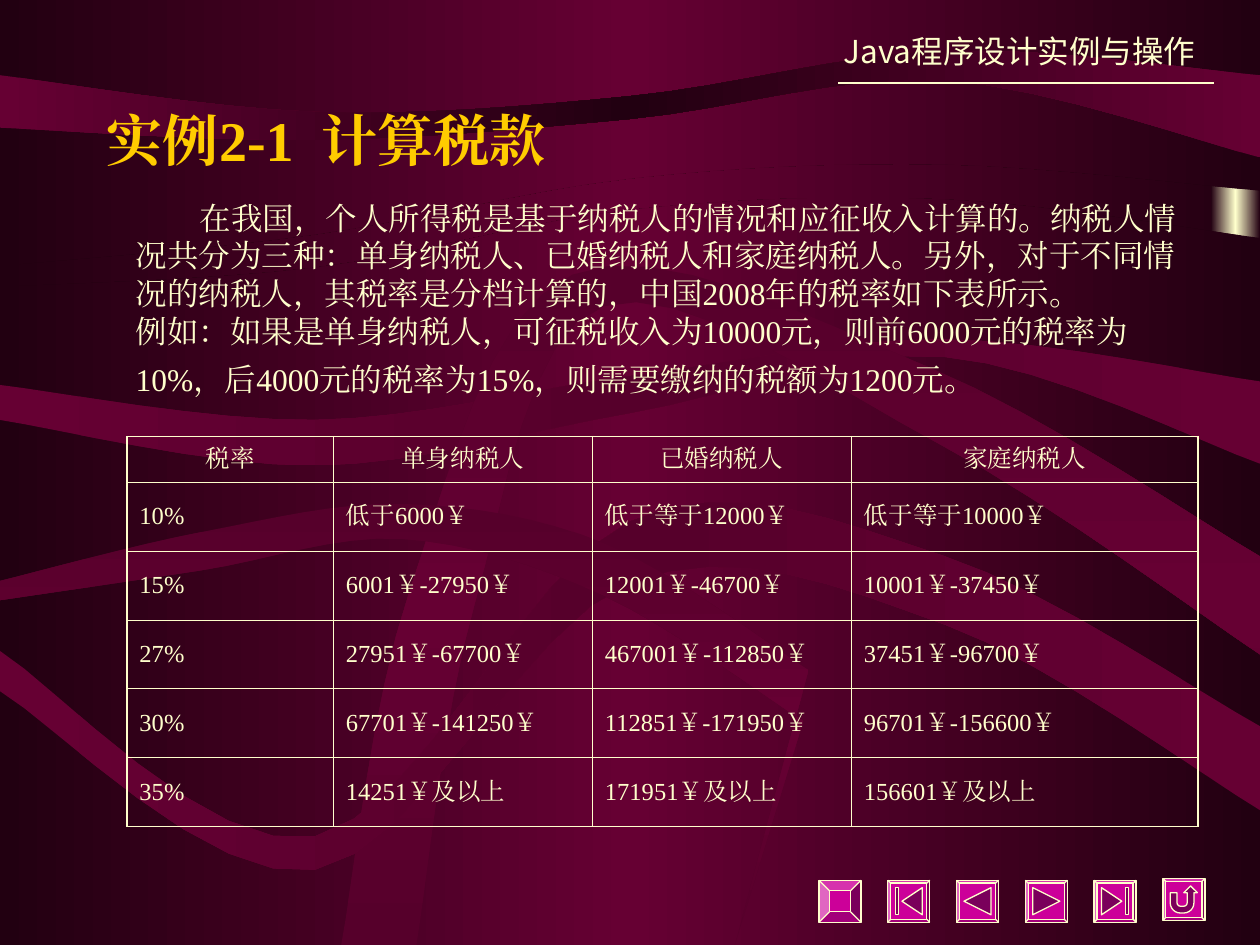
from copy import deepcopy

from lxml.etree import SubElement
from pptx import Presentation
from pptx.dml.color import RGBColor
from pptx.enum.shapes import MSO_CONNECTOR, MSO_SHAPE
from pptx.enum.text import MSO_ANCHOR, PP_ALIGN
from pptx.oxml.ns import qn
from pptx.util import Pt

COLORS = {
    "night": "220011",
    "wine": "660033",
    "plum": "56002B",
    "cream": "FFFFCC",
    "gold": "FFCC00",
    "magenta": "CC0099",
}
SERIF = "Times New Roman"
SANS = "Noto Sans CJK SC"
WIDTH, HEIGHT = 720, 540
CURVE_STEPS = 8
BUTTON_SIZE = 24
BUTTON_PITCH = 39.3
FRAME = 0.07
BUTTONS = [
    None,
    MSO_SHAPE.ACTION_BUTTON_BEGINNING,
    MSO_SHAPE.ACTION_BUTTON_BACK_OR_PREVIOUS,
    MSO_SHAPE.ACTION_BUTTON_FORWARD_OR_NEXT,
    MSO_SHAPE.ACTION_BUTTON_END,
    MSO_SHAPE.ACTION_BUTTON_RETURN,
]

INTRODUCTION = [
    "在我国，个人所得税是基于纳税人的情况和应征收入计算的。纳税人情况共分为三种：单身纳税人、"
    "已婚纳税人和家庭纳税人。另外，对于不同情况的纳税人，其税率是分档计算的，中国2008年的税率如下表所示。",
    "例如：如果是单身纳税人，可征税收入为10000元，则前6000元的税率为",
    "10%，后4000元的税率为15%，则需要缴纳的税额为1200元。",
]
TAX_COLUMNS = [118, 148, 148, 198]
TAX_ROWS = [
    ["税率", "单身纳税人", "已婚纳税人", "家庭纳税人"],
    ["10%", "低于6000￥", "低于等于12000￥", "低于等于10000￥"],
    ["15%", "6001￥-27950￥", "12001￥-46700￥", "10001￥-37450￥"],
    ["27%", "27951￥-67700￥", "467001￥-112850￥", "37451￥-96700￥"],
    ["30%", "67701￥-141250￥", "112851￥-171950￥", "96701￥-156600￥"],
    ["35%", "14251￥及以上", "171951￥及以上", "156601￥及以上"],
]


def color(name):
    return RGBColor.from_string(COLORS[name])


def fill_gradient(fill, element, edge, middle, angle=0):
    fill.gradient()
    fill.gradient_angle = angle
    stop_list = next(element.iter(qn("a:gsLst")))
    stop_list.append(deepcopy(stop_list[0]))
    for index, (stop, name) in enumerate(zip(fill.gradient_stops, (edge, middle, edge))):
        stop.color.rgb = color(name)
        stop.position = index / 2


def spread(heights, width=WIDTH):
    step = width / (len(heights) - 1)
    return [(index * step, height) for index, height in enumerate(heights)]


def smooth(points):
    padded = [points[0], *points, points[-1]]
    curve = []
    for a, b, c, d in zip(padded, padded[1:], padded[2:], padded[3:]):
        for step in range(CURVE_STEPS):
            t = step / CURVE_STEPS
            curve.append(tuple(
                q + t / 2 * (r - p + t * (2 * p - 5 * q + 4 * r - s + t * (3 * (q - r) + s - p)))
                for p, q, r, s in zip(a, b, c, d)))
    return curve + [points[-1]]


def add_wave(slide, edge, middle, upper, lower, angle=0, tail=()):
    outline = smooth(upper) + list(tail) + smooth(lower)[::-1]
    points = [(Pt(x), Pt(y)) for x, y in outline]
    builder = slide.shapes.build_freeform(*points[0])
    builder.add_line_segments(points[1:], close=True)
    wave = builder.convert_to_shape()
    wave.shadow.inherit = False
    wave.line.fill.background()
    fill_gradient(wave.fill, wave.element, edge, middle, angle)


def add_backdrop(slide):
    fill_gradient(slide.background.fill, slide.element, "night", "wine")
    glow = slide.shapes.add_shape(MSO_SHAPE.RECTANGLE, Pt(692), Pt(35), Pt(28), Pt(248))
    glow.shadow.inherit = False
    glow.line.fill.background()
    fill_gradient(glow.fill, glow.element, "night", "cream")
    add_wave(slide, "night", "wine", spread([0, 0]), spread([152, 134, 102, 94, 109]))
    add_wave(slide, "night", "wine", spread([164, 153, 120, 114, 136]), spread([HEIGHT, HEIGHT]))
    add_wave(slide, "wine", "night", spread([43, 64, 55, 29, 43]), spread([73, 80, 68, 46, 90]))
    add_wave(slide, "wine", "plum", spread([220, 240, 215, 194, 218]),
             spread([240, 266, 236, 204, 265]))
    add_wave(slide, "plum", "wine",
             [(195, HEIGHT), (234, 338), (327, 157), (531, 210), (WIDTH, 318)],
             [(238, HEIGHT), (271, 346), (345, 175), (539, 255), (WIDTH, 374)], angle=90)
    add_wave(slide, "wine", "plum", spread([372, 478, 298, 318, 415]),
             spread([395, 497, 333, 357, 463]))
    add_wave(slide, "plum", "wine", spread([332, 304, 288, 311, 383], 462),
             spread([343, 326, 308, 340, 412], 459), angle=90, tail=[(420, HEIGHT)])


def add_button_part(slide, kind, left, top, size):
    shape = slide.shapes.add_shape(kind, Pt(left), Pt(top), Pt(size), Pt(size))
    shape.shadow.inherit = False
    shape.fill.solid()
    shape.fill.fore_color.rgb = color("magenta")
    shape.line.color.rgb = color("cream")
    shape.line.width = Pt(0.75)
    return shape


def add_navigation(slide):
    inset = FRAME * BUTTON_SIZE
    for index, kind in enumerate(BUTTONS):
        left = 468 + index * BUTTON_PITCH
        top = 502 if kind == MSO_SHAPE.ACTION_BUTTON_RETURN else 503
        bevel = add_button_part(slide, MSO_SHAPE.BEVEL, left, top, BUTTON_SIZE)
        bevel.adjustments[0] = FRAME if kind else 0.25
        if kind:
            add_button_part(slide, kind, left + inset, top + inset, BUTTON_SIZE - 2 * inset)


def add_run(paragraph, text, size, name="cream", face=SERIF, bold=False):
    run = paragraph.add_run()
    run.text = text
    run.font.size = Pt(size)
    run.font.bold = bold
    run.font.color.rgb = color(name)
    run.font.name = face
    SubElement(run.font._element, qn("a:ea")).set("typeface", face)


def add_text_box(slide, left, top, width, height):
    frame = slide.shapes.add_textbox(Pt(left), Pt(top), Pt(width), Pt(height)).text_frame
    frame.word_wrap = True
    return frame


def add_header(slide):
    rule = slide.shapes.add_connector(MSO_CONNECTOR.STRAIGHT, Pt(479), Pt(47.5), Pt(693.5), Pt(47.5))
    rule.line.color.rgb = color("cream")
    rule.line.width = Pt(0.75)
    SubElement(rule.element.spPr, qn("a:effectLst"))
    paragraph = add_text_box(slide, 468, 15, 222, 29).paragraphs[0]
    paragraph.alignment = PP_ALIGN.RIGHT
    add_run(paragraph, "Java程序设计实例与操作", 18, face=SANS)


def add_title(slide):
    frame = add_text_box(slide, 54, 54, 612, 51)
    frame.vertical_anchor = MSO_ANCHOR.MIDDLE
    add_run(frame.paragraphs[0], "实例2-1  计算税款", 32, "gold", bold=True)


def add_introduction(slide):
    paragraph = add_text_box(slide, 70.5, 110, 612, 122).paragraphs[0]
    paragraph._p.get_or_add_pPr().set("indent", str(Pt(36.5)))
    for index, line in enumerate(INTRODUCTION):
        if index:
            paragraph.add_line_break()
        add_run(paragraph, line, 18)
    add_run(paragraph, " ", 24)


def set_borders(cell, outer_sides):
    properties = cell._tc.get_or_add_tcPr()
    for side in ("lnL", "lnR", "lnT", "lnB"):
        line = SubElement(properties, qn(f"a:{side}"))
        line.set("w", str(Pt(1.08 if side in outer_sides else 0.45)))
        SubElement(SubElement(line, qn("a:solidFill")), qn("a:srgbClr")).set("val", COLORS["cream"])
    cell.fill.background()


def add_tax_table(slide):
    row_count, column_count = len(TAX_ROWS), len(TAX_COLUMNS)
    table = slide.shapes.add_table(row_count, column_count, Pt(72.5), Pt(249.5),
                                   Pt(sum(TAX_COLUMNS)), Pt(223)).table
    table.first_row = False
    table.horz_banding = False
    for column, width in zip(table.columns, TAX_COLUMNS):
        column.width = Pt(width)
    for row_index, texts in enumerate(TAX_ROWS):
        table.rows[row_index].height = Pt(39.4 if row_index else 26)
        for column_index, text in enumerate(texts):
            cell = table.cell(row_index, column_index)
            cell.vertical_anchor = MSO_ANCHOR.MIDDLE
            paragraph = cell.text_frame.paragraphs[0]
            paragraph.alignment = PP_ALIGN.LEFT if row_index else PP_ALIGN.CENTER
            add_run(paragraph, text, 14)
            edges = {"lnL": column_index == 0, "lnR": column_index == column_count - 1,
                     "lnT": row_index == 0, "lnB": row_index == row_count - 1}
            set_borders(cell, [side for side, outer in edges.items() if outer])


def main():
    presentation = Presentation()
    presentation.slide_width, presentation.slide_height = Pt(WIDTH), Pt(HEIGHT)
    slide = presentation.slides.add_slide(presentation.slide_layouts[6])
    add_backdrop(slide)
    add_navigation(slide)
    add_header(slide)
    add_title(slide)
    add_introduction(slide)
    add_tax_table(slide)
    presentation.save("out.pptx")


if __name__ == "__main__":
    main()
